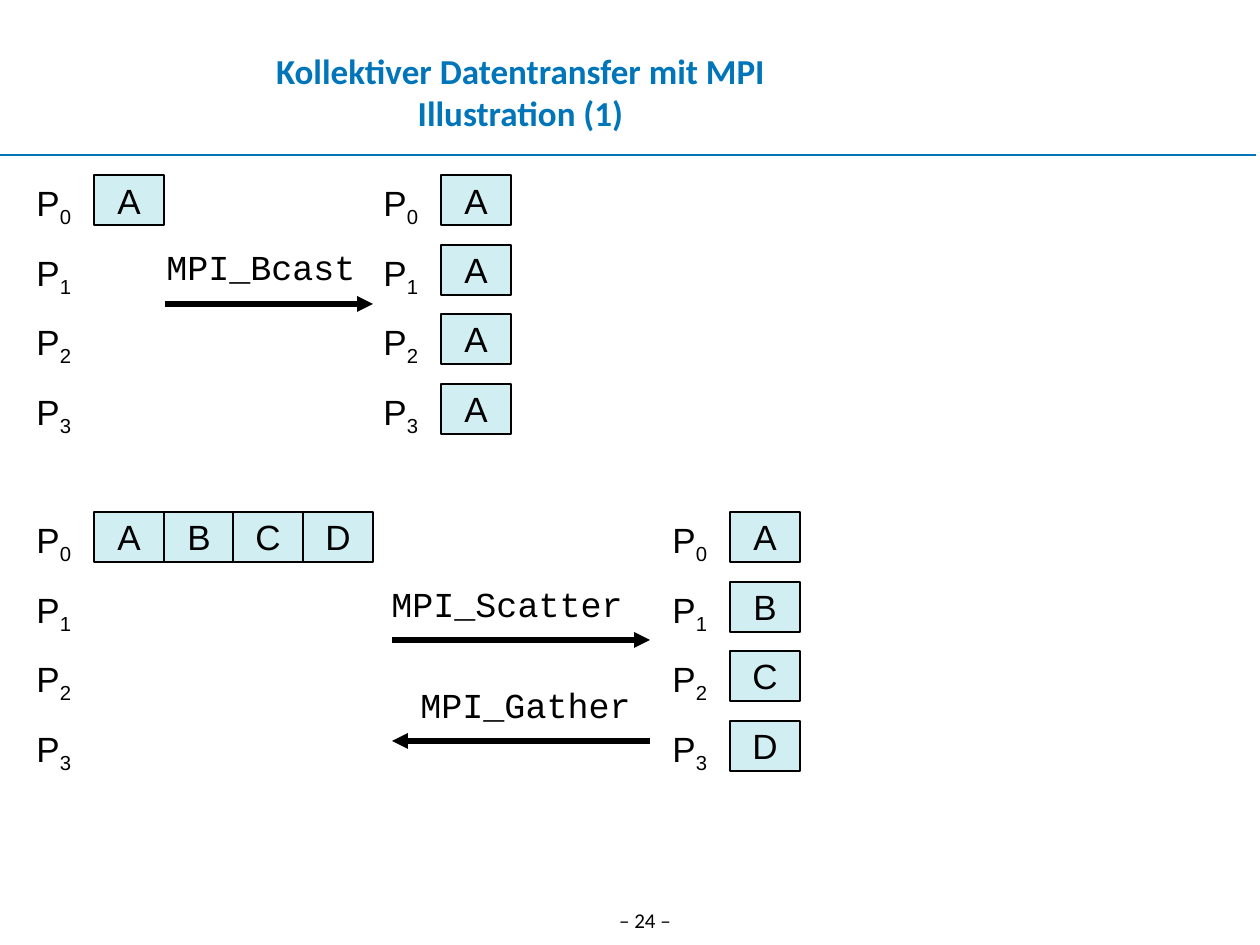
import pptx
import pptx.util
import pptx.dml.color
import pptx.enum.shapes
import pptx.enum.text
import pptx.oxml.ns
from lxml import etree

PX = 914400 / 126
COLORS = {"blue": "0075BA", "cell": "D1EFF3", "black": "000000"}
ALIGN = pptx.enum.text.PP_ALIGN
ANCHOR = pptx.enum.text.MSO_ANCHOR

TITLE = "Kollektiver Datentransfer mit MPI\vIllustration (1)"
PAGE = "– 24 –"
CELL_W, CELL_H = 70, 50
LABEL_GAP = 70
# left of the first cell, top of the first row, cell letters for P0 to P3
PROCESS_GROUPS = [
    (94, 175, ["A", "", "", ""]),
    (441, 175, ["A", "A", "A", "A"]),
    (94, 512, ["ABCD", "", "", ""]),
    (730, 512, ["A", "B", "C", "D"]),
]
# name, its box (left, top, width), arrow from x to x at y, end with the arrowhead
TRANSFERS = [
    ("MPI_Bcast", (154, 239, 214), (165, 373, 304), "tailEnd"),
    ("MPI_Scatter", (379, 576, 257), (392, 650, 640), "tailEnd"),
    ("MPI_Gather", (408, 677, 236), (392, 650, 741), "headEnd"),
]


def px(*values):
    return [pptx.util.Emu(round(v * PX)) for v in values]


def grid_offset(index):
    """Rows and columns of cells both repeat every 69.5 px."""
    return (index * 139 + 1) // 2


def rgb(name):
    return pptx.dml.color.RGBColor.from_string(COLORS[name])


def style_runs(p, size=20, font="Arial", color="black", bold=False):
    for r in p.runs:
        r.font.size = pptx.util.Pt(size)
        r.font.name = font
        r.font.color.rgb = rgb(color)
        r.font.bold = bold


def add_text(s, box, text, wrap=False, align=ALIGN.LEFT, **style):
    tf = s.shapes.add_textbox(*px(*box)).text_frame
    tf.word_wrap = wrap
    tf.auto_size = pptx.enum.text.MSO_AUTO_SIZE.SHAPE_TO_FIT_TEXT
    if not wrap:
        tf.margin_right = 0
    p = tf.paragraphs[0]
    p.text = text
    p.alignment = align
    style_runs(p, **style)
    return p


def add_line(s, x1, x2, y, color, width, arrow_end=None):
    line = s.shapes.add_connector(
        pptx.enum.shapes.MSO_CONNECTOR.STRAIGHT, *px(x1, y, x2, y))
    line.line.color.rgb = rgb(color)
    line.line.width = pptx.util.Pt(width)
    qn = pptx.oxml.ns.qn
    if arrow_end:
        etree.SubElement(line.line._get_or_add_ln(), qn("a:" + arrow_end), type="triangle")
    etree.SubElement(line._element.spPr, qn("a:effectLst"))


def add_cell(s, x, y, letter):
    sp = s.shapes.add_shape(
        pptx.enum.shapes.MSO_SHAPE.RECTANGLE, *px(x, y, CELL_W, CELL_H))
    sp.shadow.inherit = False
    sp.fill.solid()
    sp.fill.fore_color.rgb = rgb("cell")
    sp.line.color.rgb = rgb("black")
    sp.line.width = pptx.util.Pt(0.75)
    tf = sp.text_frame
    tf.word_wrap = False
    tf.vertical_anchor = ANCHOR.MIDDLE
    p = tf.paragraphs[0]
    p.text = letter
    p.alignment = ALIGN.CENTER
    style_runs(p)


def add_process_label(s, x, y, number):
    p = add_text(s, (x, y, 59, 60), "P")
    r = p.add_run()
    r.text = str(number)
    style_runs(p)
    r.font._element.set("baseline", "-25000")


def add_title(s):
    title = s.shapes.title
    title.left, title.top, title.width, title.height = px(25, 46, 991, 91)
    tf = title.text_frame
    tf.text = TITLE
    tf.word_wrap = True
    tf.auto_size = pptx.enum.text.MSO_AUTO_SIZE.NONE
    tf.vertical_anchor = ANCHOR.MIDDLE
    tf.margin_left = tf.margin_right = tf.margin_top = tf.margin_bottom = 0
    p = tf.paragraphs[0]
    p.alignment = ALIGN.CENTER
    style_runs(p, font="Calibri", color="blue", bold=True)


def main():
    prs = pptx.Presentation()
    prs.slide_width, prs.slide_height = px(1260, 945)
    s = prs.slides.add_slide(prs.slide_layouts[5])

    add_line(s, -5, 1256, 155, "blue", 0.75)
    add_text(s, (590, 901, 110, 64), PAGE, wrap=True, align=ALIGN.CENTER,
             size=12, font="Calibri")
    add_title(s)

    for left, top, rows in PROCESS_GROUPS:
        for number, letters in enumerate(rows):
            y = top + grid_offset(number)
            add_process_label(s, left - LABEL_GAP, y, number)
            for column, letter in enumerate(letters):
                add_cell(s, left + grid_offset(column), y, letter)

    for name, (x, y, width), arrow, arrow_end in TRANSFERS:
        add_line(s, *arrow, "black", 3, arrow_end)
        add_text(s, (x, y, width, 55), name, font="Courier New")

    prs.save("out.pptx")


if __name__ == "__main__":
    main()
